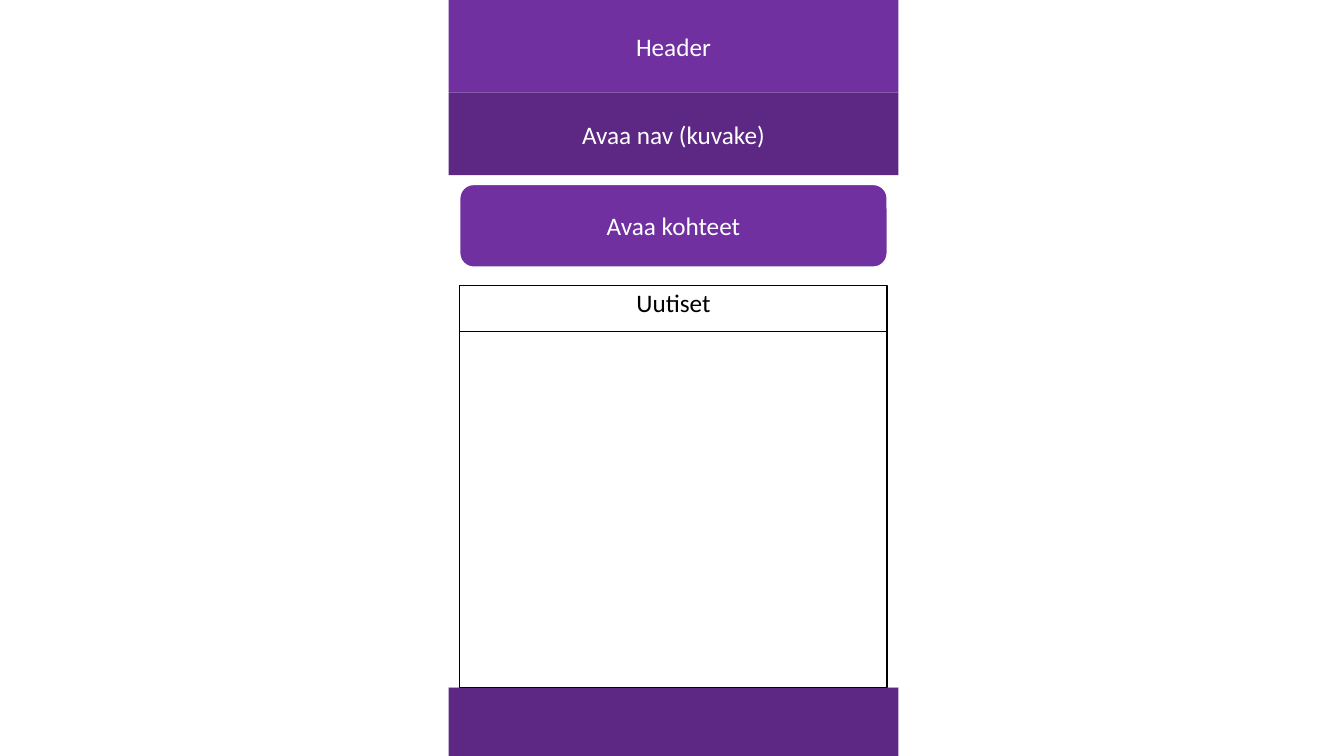
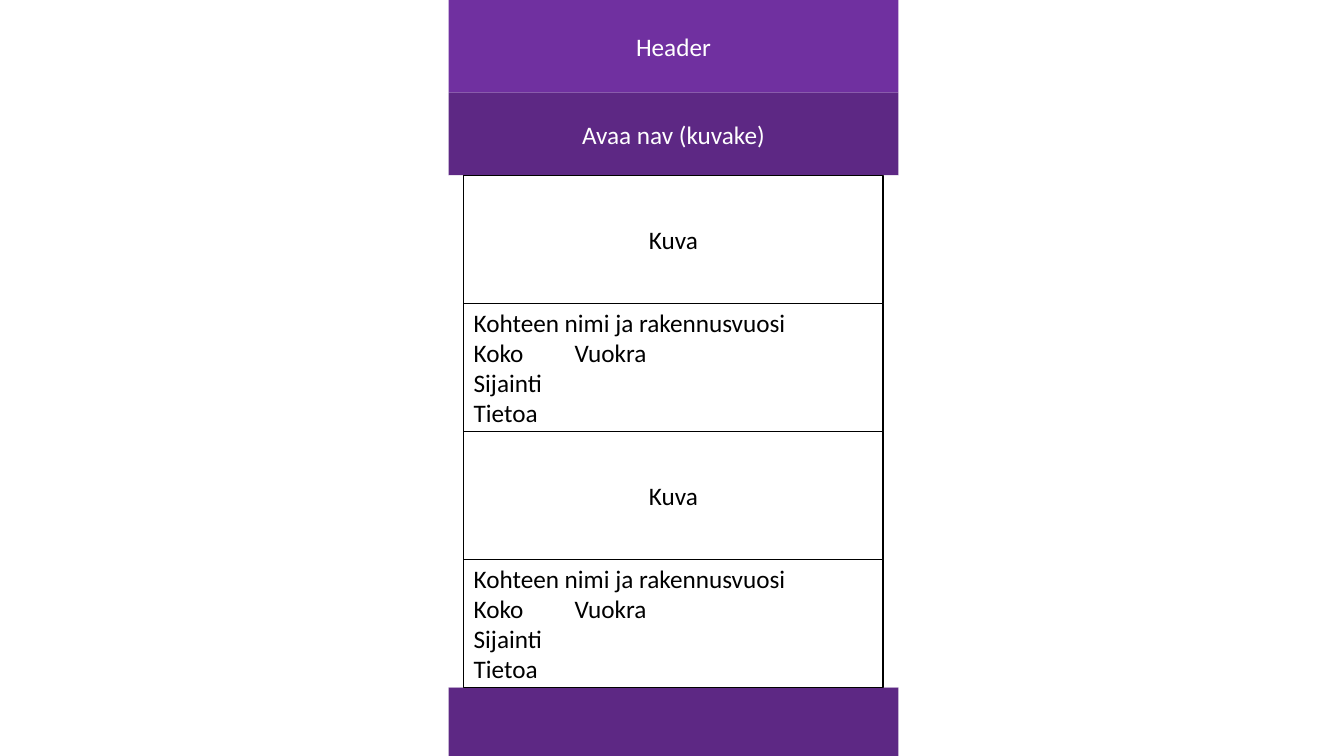
from dataclasses import dataclass

from lxml import etree
from pptx import Presentation
from pptx.dml.color import RGBColor
from pptx.enum.shapes import MSO_CONNECTOR, MSO_SHAPE
from pptx.enum.text import MSO_ANCHOR, PP_ALIGN
from pptx.oxml.ns import qn
from pptx.util import Inches, Pt

RECTANGLE, ROUNDED = MSO_SHAPE.RECTANGLE, MSO_SHAPE.ROUNDED_RECTANGLE
STRAIGHT = MSO_CONNECTOR.STRAIGHT
LEFT, CENTER = PP_ALIGN.LEFT, PP_ALIGN.CENTER
TOP, MIDDLE = MSO_ANCHOR.TOP, MSO_ANCHOR.MIDDLE


@dataclass(frozen=True)
class Theme:
    purple: RGBColor = RGBColor(0x70, 0x30, 0xA0)
    dark_purple: RGBColor = RGBColor(0x5D, 0x28, 0x84)
    white: RGBColor = RGBColor(0xFF, 0xFF, 0xFF)
    black: RGBColor = RGBColor(0, 0, 0)
    font: str = "Calibri"
    text_size: int = 18
    border: float = 1
    divider: float = 0.5


@dataclass(frozen=True)
class Box:
    left: float
    top: float
    width: float
    height: float

    @property
    def lengths(self):
        return [Inches(n) for n in (self.left, self.top, self.width, self.height)]

    def inset(self, side, top=0):
        """Move in both sides and the top edge, keeping the bottom edge."""
        return Box(self.left + side, self.top + top,
                   self.width - 2 * side, self.height - top)

    def row(self, top, height):
        return Box(self.left, self.top + top, self.width, height)


THEME = Theme()
PHONE = Box(4.45, 0, 4.46, 7.5)
HEADER_HEIGHT, NAV_HEIGHT, FOOTER_HEIGHT = 0.92, 0.82, 0.68
LISTING_LINES = ["Kohteen nimi ja rakennusvuosi", "Koko\tVuokra", "Sijainti", "Tietoa"]


def add_panel(page, box, fill, lines=(), color=THEME.white, border=None,
              shape=RECTANGLE, align=CENTER, anchor=MIDDLE):
    panel = page.shapes.add_shape(shape, *box.lengths)
    panel.shadow.inherit = False
    panel.fill.solid()
    panel.fill.fore_color.rgb = fill
    if border is None:
        panel.line.fill.background()
    else:
        panel.line.color.rgb = border
        panel.line.width = Pt(THEME.border)
    frame = panel.text_frame
    frame.word_wrap = True
    frame.vertical_anchor = anchor
    for index, line in enumerate(lines):
        para = frame.add_paragraph() if index else frame.paragraphs[0]
        para.text = line
        para.alignment = align
        para.font.name = THEME.font
        para.font.size = Pt(THEME.text_size)
        para.font.color.rgb = color
    return panel


def add_card(page, box, lines, **style):
    return add_panel(page, box, THEME.white, lines, THEME.black, THEME.black, **style)


def add_divider(page, box, offset):
    y = Inches(box.top + offset)
    divider = page.shapes.add_connector(
        STRAIGHT, Inches(box.left), y, Inches(box.left + box.width), y)
    divider.line.color.rgb = THEME.black
    divider.line.width = Pt(THEME.divider)
    etree.SubElement(divider.element.spPr, qn("a:effectLst"))


def set_tab_stop(para, position):
    properties = para._p.get_or_add_pPr()
    stops = etree.Element(qn("a:tabLst"))
    etree.SubElement(stops, qn("a:tab"), pos=str(Inches(position)), algn="l")
    properties.insert(0, stops)


def add_phone(deck, box):
    """Add a page with the shared phone bands; return it and its content box."""
    page = deck.slides.add_slide(deck.slide_layouts[6])
    content_top = HEADER_HEIGHT + NAV_HEIGHT
    content_height = box.height - content_top - FOOTER_HEIGHT
    content = box.row(content_top, content_height)
    add_panel(page, box.row(0, HEADER_HEIGHT), THEME.purple, ["Header"])
    add_panel(page, box.row(box.height - FOOTER_HEIGHT, FOOTER_HEIGHT), THEME.dark_purple)
    add_panel(page, box.row(HEADER_HEIGHT, NAV_HEIGHT), THEME.dark_purple,
              ["Avaa nav (kuvake)"])
    add_panel(page, content, THEME.white)
    return page, content


def add_listing(page, box):
    """Add a picture area with the details of one home below it."""
    half = box.height / 2
    add_card(page, box.row(0, half), ["Kuva"])
    details = add_card(page, box.row(half, half), LISTING_LINES, align=LEFT)
    set_tab_stop(details.text_frame.paragraphs[1], 1)


def build_front_page(deck):
    page, content = add_phone(deck, PHONE)
    body = content.inset(0.11, 0.09)
    add_panel(page, body.row(0, 0.82), THEME.purple, ["Avaa kohteet"],
              border=THEME.white, shape=ROUNDED)
    news_box = body.inset(0, 1)
    news = add_card(page, news_box, ["Uutiset"], anchor=TOP)
    news.text_frame.margin_top = Inches(0.02)
    add_divider(page, news_box, 0.46)


def build_listing_page(deck, count=2):
    page, content = add_phone(deck, PHONE)
    body = content.inset(0.15)
    height = body.height / count
    for index in range(count):
        add_listing(page, body.row(index * height, height))


def main():
    deck = Presentation()
    deck.slide_width, deck.slide_height = Inches(13.33), Inches(7.5)
    build_front_page(deck)
    build_listing_page(deck)
    deck.save("out.pptx")


if __name__ == "__main__":
    main()
